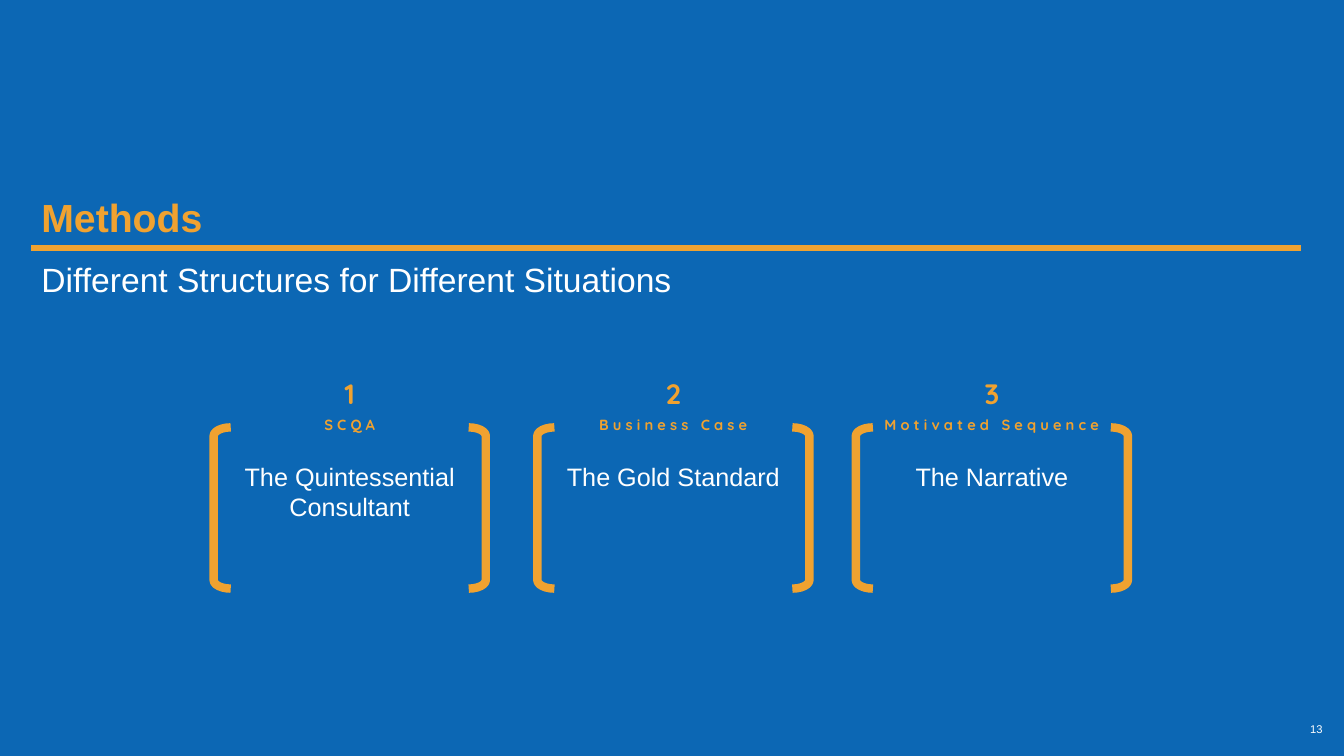
import dataclasses

import lxml.etree
import pptx
import pptx.dml.color
import pptx.enum.shapes
import pptx.enum.text
import pptx.oxml.ns
import pptx.util

WIDE, HIGH = pptx.util.Inches(13.33), pptx.util.Inches(7.5)
ALIGN = pptx.enum.text.PP_ALIGN
ANCHOR = pptx.enum.text.MSO_ANCHOR
SHAPE = pptx.enum.shapes.MSO_SHAPE
LINK = pptx.enum.shapes.MSO_CONNECTOR


@dataclasses.dataclass(frozen=True)
class Style:
    size: float
    color: str
    font: str = "Arial"
    bold: bool = False
    track: int = 0


@dataclasses.dataclass(frozen=True)
class Theme:
    back: str = "0C67B4"
    gold: str = "F0A230"
    rule: float = 4.5
    edge: float = 6
    title: Style = Style(28, "F0A230", bold=True)
    lead: Style = Style(24, "FFFFFF")
    digit: Style = Style(20, "F0A230", "Quicksand", True)
    label: Style = Style(10.5, "F0A230", "Quicksand", True, 300)
    body: Style = Style(18, "FFFFFF")
    page: Style = Style(8, "FFFFFF")


THEME = Theme()
MARGIN = 2.33
CARD = 20.25
HOOK = 1.27
CARDS = [
    (15.9, "1", "SCQA", "The Quintessential Consultant", 9.47),
    (39.98, "2", "Business Case", "The Gold Standard", 5.33),
    (63.68, "3", "Motivated Sequence", "The Narrative", 5.33),
]


def tint(code):
    return pptx.dml.color.RGBColor.from_string(code)


def grid(left, top, width, height):
    return (round(left * WIDE / 100), round(top * HIGH / 100),
            round(width * WIDE / 100), round(height * HIGH / 100))


def write(shape, text, style, align=ALIGN.LEFT, anchor=ANCHOR.TOP):
    frame = shape.text_frame
    frame.text = text
    frame.word_wrap = True
    frame.auto_size = pptx.enum.text.MSO_AUTO_SIZE.NONE
    frame.vertical_anchor = anchor
    line = frame.paragraphs[0]
    line.alignment = align
    line.space_before = pptx.util.Pt(0)
    for run in line.runs:
        run.font.size = pptx.util.Pt(style.size)
        run.font.name = style.font
        run.font.bold = style.bold
        run.font.color.rgb = tint(style.color)
        if style.track:
            run.font._element.set("spc", str(style.track))
    return frame


def fill_slot(slot, place, text, style, anchor):
    slot.left, slot.top, slot.width, slot.height = grid(*place)
    return write(slot, text, style, anchor=anchor)


def add_text(slide, place, text, style):
    box = slide.shapes.add_textbox(*grid(*place))
    frame = write(box, text, style, ALIGN.CENTER)
    frame.margin_left = frame.margin_right = 0


def add_hook(slide, left, flip):
    hook = slide.shapes.add_shape(SHAPE.LEFT_BRACKET,
                                  *grid(left, 56.53, HOOK, 21.33))
    hook.adjustments[0] = 0.5
    hook.shadow.inherit = False
    hook.fill.background()
    hook.line.color.rgb = tint(THEME.gold)
    hook.line.width = pptx.util.Pt(THEME.edge)
    if flip:
        hook._element.spPr.xfrm.set("flipH", "1")


def add_rule(slide, left, right, top):
    start, level, span, _ = grid(left, top, right - left, 0)
    rule = slide.shapes.add_connector(LINK.STRAIGHT, start, level,
                                      start + span, level)
    rule.line.color.rgb = tint(THEME.gold)
    rule.line.width = pptx.util.Pt(THEME.rule)
    lxml.etree.SubElement(rule._element.spPr,
                          pptx.oxml.ns.qn("a:effectLst"))


def add_card(slide, left, digit, label, body, tall):
    add_hook(slide, left, False)
    add_hook(slide, left + CARD - HOOK, True)
    inner = CARD - 2 * HOOK
    add_text(slide, (left, 60.4, CARD, tall), body, THEME.body)
    add_text(slide, (left + HOOK, 54.4, inner, 3.73), label, THEME.label)
    add_text(slide, (left + CARD / 2 - 1.25, 49.2, 2.5, 5.87),
             digit, THEME.digit)


def add_page(slide, text):
    box = slide.shapes.add_textbox(*grid(96.6, 94.93, 2.55, 3.2))
    frame = write(box, text, THEME.page, ALIGN.RIGHT)
    frame.word_wrap = False


def main():
    deck = pptx.Presentation()
    deck.slide_width, deck.slide_height = WIDE, HIGH
    slide = deck.slides.add_slide(deck.slide_layouts[0])
    slide.background.fill.solid()
    slide.background.fill.fore_color.rgb = tint(THEME.back)
    fill_slot(slide.shapes.title, (MARGIN, 24.8, 70.12, 7.87),
              "Methods", THEME.title, ANCHOR.MIDDLE)
    lead = fill_slot(slide.placeholders[1], (MARGIN, 34.13, 90.15, 13.73),
                     "Different Structures for Different Situations",
                     THEME.lead, ANCHOR.TOP)
    lead.paragraphs[0].line_spacing = 0.9
    lead.paragraphs[0].space_after = pptx.util.Pt(8)
    add_rule(slide, MARGIN, 96.83, 32.8)
    for card in CARDS:
        add_card(slide, *card)
    add_page(slide, "13")
    deck.save("out.pptx")


if __name__ == "__main__":
    main()
